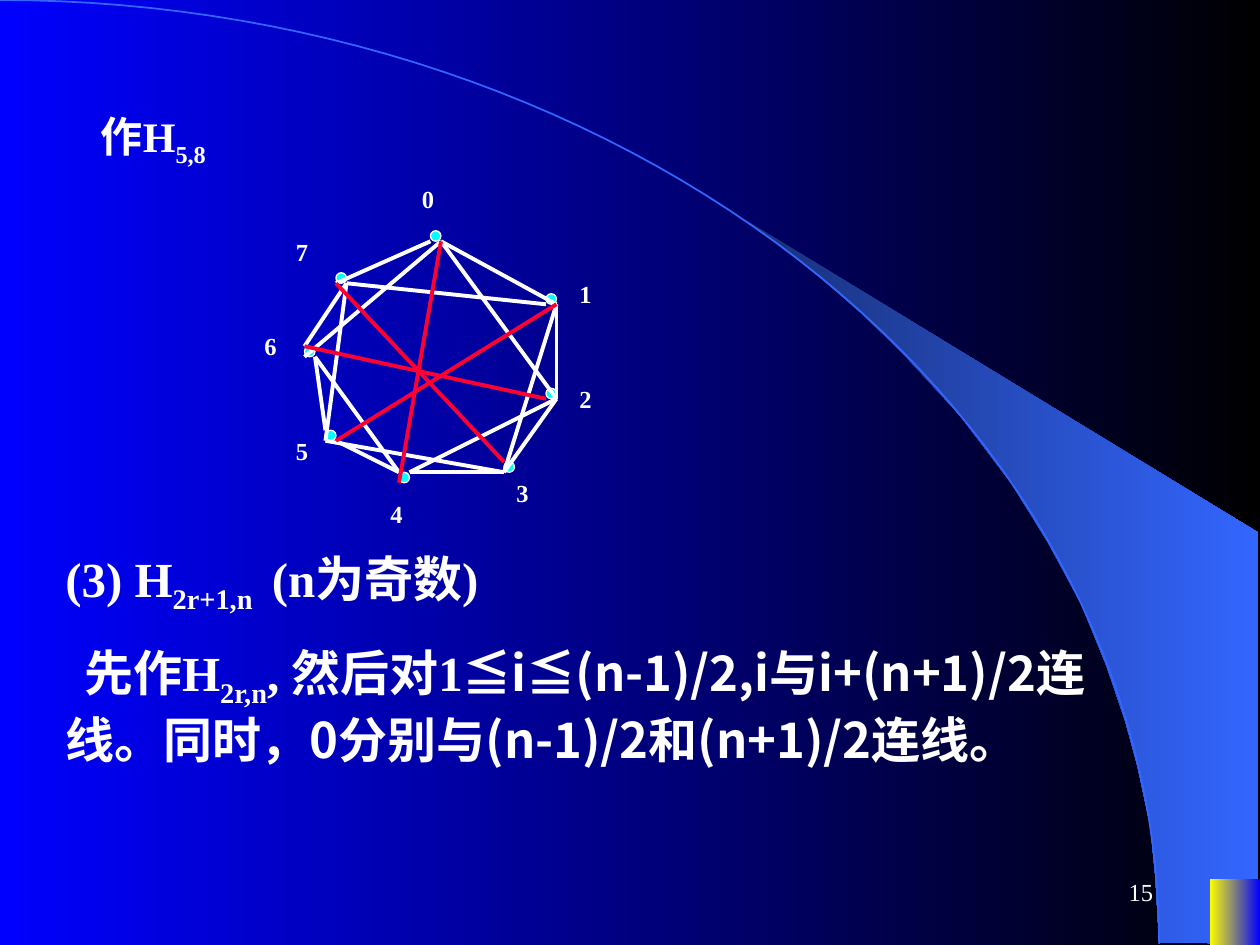
from dataclasses import dataclass
from math import cos, pi, sin

from lxml import etree
from pptx import Presentation
from pptx.dml.color import RGBColor
from pptx.enum.shapes import MSO_CONNECTOR, MSO_SHAPE
from pptx.enum.text import MSO_ANCHOR, MSO_AUTO_SIZE, PP_ALIGN
from pptx.oxml.ns import qn
from pptx.util import Inches, Pt

STRAIGHT = MSO_CONNECTOR.STRAIGHT
OVAL, RECTANGLE = MSO_SHAPE.OVAL, MSO_SHAPE.RECTANGLE
TOP, MIDDLE = MSO_ANCHOR.TOP, MSO_ANCHOR.MIDDLE
LEFT, RIGHT = PP_ALIGN.LEFT, PP_ALIGN.RIGHT
FIT_SHAPE, FIT_NONE = MSO_AUTO_SIZE.SHAPE_TO_FIT_TEXT, MSO_AUTO_SIZE.NONE


@dataclass(frozen=True)
class Theme:
    white: RGBColor = RGBColor(255, 255, 255)
    black: RGBColor = RGBColor(0, 0, 0)
    blue: RGBColor = RGBColor(0, 0, 255)
    yellow: RGBColor = RGBColor(255, 255, 0)
    sky: RGBColor = RGBColor(0x33, 0x66, 0xFF)
    navy: RGBColor = RGBColor(0x18, 0x2F, 0x76)
    cyan: RGBColor = RGBColor(0, 255, 255)
    red: RGBColor = RGBColor(0xFF, 0, 0x33)
    latin: str = "Times New Roman"
    chinese: str = "Noto Sans CJK SC"
    label: int = 14
    heading: int = 24
    body: int = 28


THEME = Theme()

# The graph lies on a grid of twelfths of an inch
GRID = 1 / 12
# Vertex number -> (dot position, label position)
VERTICES = {
    0: ((17, 5), (15, 0)), 1: ((28, 11), (30, 9)),
    2: ((28, 20), (30, 19)), 3: ((24, 27), (24, 28)),
    4: ((14, 28), (12, 30)), 5: ((7, 24), (3, 24)),
    6: ((5, 16), (0, 14)), 7: ((8, 9), (3, 5)),
}
# Edges join each vertex to its neighbours at distance one and two
NEAR_EDGES = [
    ((18, 6), (29, 21)), ((18, 6), (29, 12)), ((17, 6), (8, 10)),
    ((18, 6), (5, 17)), ((29, 12), (29, 21)), ((29, 12), (24, 28)),
    ((9, 10), (28, 12)), ((29, 21), (24, 28)), ((29, 21), (15, 28)),
    ((15, 28), (24, 28)), ((7, 25), (24, 28)), ((8, 25), (14, 28)),
    ((6, 17), (14, 28)), ((6, 17), (7, 24)), ((9, 10), (7, 25)),
    ((9, 10), (5, 16)),
]
# Diagonals join opposite vertices
DIAGONALS = [
    ((18, 6), (14, 29)), ((8, 25), (29, 12)),
    ((5, 16), (28, 21)), ((8, 10), (24, 27)),
]
SWOOSH = [
    (9.2, 7.48), (9.99, 7.49), (9.99, 4.23), (5.89, 1.73), (6.24, 1.99),
    (6.53, 2.22), (6.85, 2.5), (7.16, 2.8), (7.62, 3.3), (8.03, 3.84),
    (8.32, 4.31), (8.58, 4.79), (8.78, 5.28), (8.93, 5.72), (9.03, 6.09),
    (9.13, 6.56), (9.17, 6.96),
]


def fill_gradient(fill, start, end):
    fill.gradient()
    fill.gradient_angle = 0
    for stop, position, color in zip(fill.gradient_stops, (0, 1), (start, end)):
        stop.position = position
        stop.color.rgb = color


def draw_outline(slide, points, close):
    points = [(Inches(x), Inches(y)) for x, y in points]
    builder = slide.shapes.build_freeform(*points[0])
    builder.add_line_segments(points[1:], close=close)
    outline = builder.convert_to_shape()
    outline.shadow.inherit = False
    return outline


def write_text(holder, box, parts, size, bold=True, anchor=TOP, align=LEFT,
               autosize=FIT_SHAPE, indent=0):
    """Write parts of (text, is_subscript, latin font) as one paragraph."""
    holder.left, holder.top, holder.width, holder.height = map(Inches, box)
    frame = holder.text_frame
    frame.word_wrap = True
    frame.auto_size = autosize
    frame.vertical_anchor = anchor
    paragraph = frame.paragraphs[0]
    paragraph.alignment = align
    paragraph_properties = paragraph._p.get_or_add_pPr()
    # Keep closing punctuation inside the text width
    paragraph_properties.set("hangingPunct", "0")
    if indent:
        paragraph_properties.set("indent", str(Inches(indent)))
    for text, is_subscript, latin in parts:
        run = paragraph.add_run()
        run.text = text
        font = run.font
        font.size, font.bold, font.name = Pt(size), bold, latin
        font.color.rgb = THEME.white
        properties = font._element
        if is_subscript:
            properties.set("baseline", "-25000")
        east_asian = etree.Element(qn("a:ea"), typeface=THEME.chinese)
        properties.find(qn("a:latin")).addnext(east_asian)


def add_text(shapes, box, parts, size, **options):
    write_text(shapes.add_textbox(0, 0, 0, 0), box, parts, size, **options)


def add_backdrop(slide, width, height):
    fill_gradient(slide.background.fill, THEME.blue, THEME.black)

    # Blue sweep on the right
    sweep = draw_outline(slide, SWOOSH, close=True)
    fill_gradient(sweep.fill, THEME.navy, THEME.sky)
    sweep.line.fill.background()

    # Quarter ellipse running along the sweep
    radius_x, radius_y, steps = 9.2, 7.49, 60
    angles = [step * pi / 2 / steps for step in range(steps + 1)]
    curve = draw_outline(slide, [(radius_x * sin(a), radius_y * (1 - cos(a)))
                                 for a in angles], close=False)
    curve.fill.background()
    curve.line.color.rgb = THEME.sky
    curve.line.width = Pt(1)

    # Corner block
    block_width, block_height = 0.4, 0.52
    corner = slide.shapes.add_shape(
        RECTANGLE, Inches(width - block_width), Inches(height - block_height),
        Inches(block_width), Inches(block_height))
    corner.shadow.inherit = False
    fill_gradient(corner.fill, THEME.yellow, THEME.blue)
    corner.line.fill.background()


def add_edges(slide, left, top, edges, color):
    for (x1, y1), (x2, y2) in edges:
        edge = slide.shapes.add_connector(
            STRAIGHT, Inches(left + x1 * GRID), Inches(top + y1 * GRID),
            Inches(left + x2 * GRID), Inches(top + y2 * GRID))
        edge.line.color.rgb = color
        edge.line.width = Pt(2.25)
        etree.SubElement(edge._element.spPr, qn("a:effectLst"))


def add_graph(slide, left, top):
    # Vertices with their numbers
    vertex_shapes = slide.shapes.add_group_shape().shapes
    for number, ((dot_x, dot_y), (label_x, label_y)) in VERTICES.items():
        dot = vertex_shapes.add_shape(
            OVAL, Inches(left + dot_x * GRID), Inches(top + dot_y * GRID),
            Inches(GRID), Inches(GRID))
        dot.shadow.inherit = False
        dot.fill.solid()
        dot.fill.fore_color.rgb = THEME.cyan
        dot.line.color.rgb = THEME.white
        dot.line.width = Pt(0.75)
        label_box = (left + label_x * GRID, top + label_y * GRID, 0.43, 0.34)
        add_text(vertex_shapes, label_box,
                 [(str(number), False, THEME.latin)], THEME.label)

    add_edges(slide, left, top, NEAR_EDGES, THEME.white)
    add_edges(slide, left, top, DIAGONALS, THEME.red)


def add_odd_case(slide, left, top, width):
    latin, chinese = THEME.latin, THEME.chinese
    # Case heading
    add_text(slide.shapes, (left, top, width, 0.63),
             [("(3) H", False, latin), ("2r+1,n ", True, latin),
              (" (n为奇数)", False, latin)], THEME.body, anchor=MIDDLE)
    # Construction rule
    add_text(slide.shapes, (left, top + 0.75, width, 1.1),
             [("先作H", False, latin), ("2r,n", True, latin),
              (", 然后对1", False, latin),
              ("≦i≦(n-1)/2,i与i+(n+1)/2连线。同时，0分别与(n-1)/2和(n+1)/2连线。",
               False, chinese)], THEME.body, anchor=MIDDLE, indent=0.15)


def main():
    deck = Presentation()
    width, height = 10, 7.5
    deck.slide_width, deck.slide_height = Inches(width), Inches(height)
    slide = deck.slides.add_slide(deck.slide_layouts[5])

    add_backdrop(slide, width, height)
    write_text(slide.shapes.title, (0.7, 0.83, 8.22, 0.56),
               [("作H", False, THEME.latin), ("5,8", True, THEME.latin)],
               THEME.heading)
    add_graph(slide, 2, 1.415)
    add_odd_case(slide, 0.42, 4.3, 8.5)
    # Page number
    add_text(slide.shapes, (7.17, 6.83, 2.08, 0.5),
             [("15", False, THEME.latin)], THEME.label, bold=False,
             anchor=MIDDLE, align=RIGHT, autosize=FIT_NONE)
    deck.save("out.pptx")


if __name__ == "__main__":
    main()
